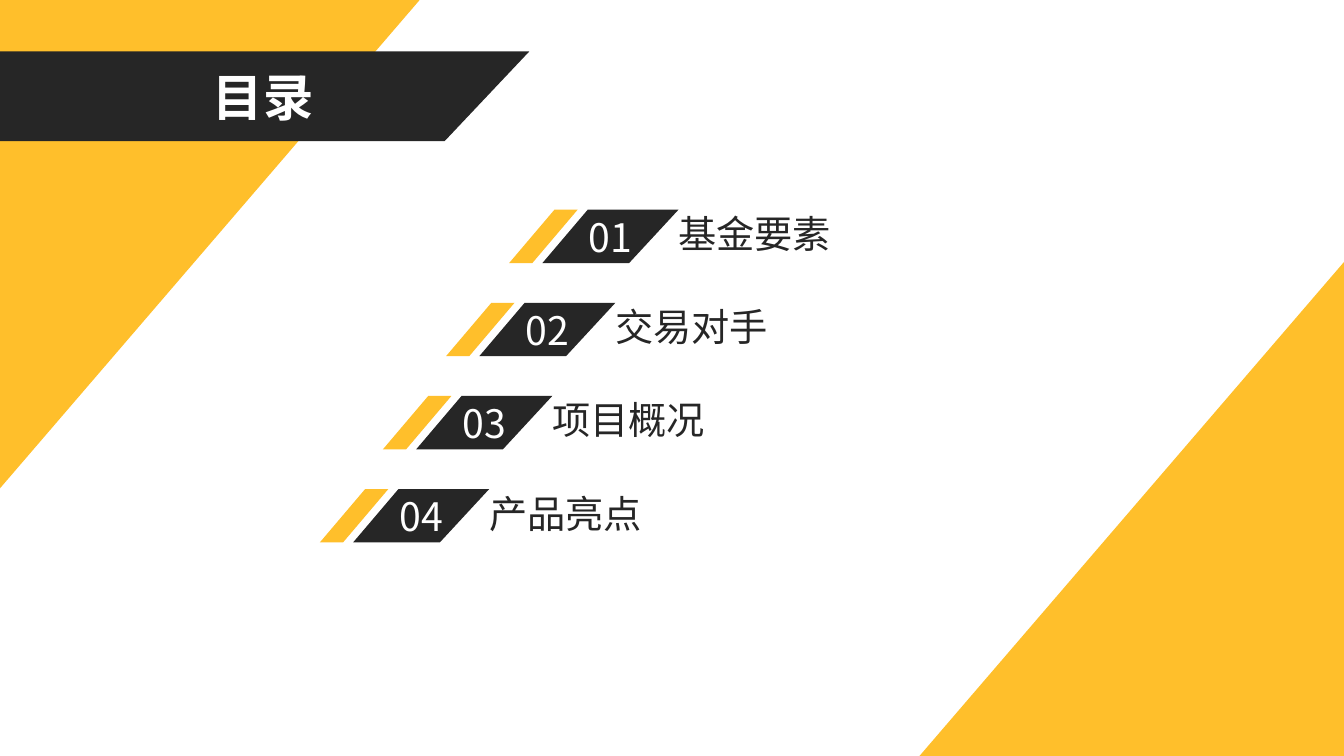
from dataclasses import dataclass

from lxml import etree
from pptx import Presentation
from pptx.dml.color import RGBColor
from pptx.enum.shapes import MSO_SHAPE
from pptx.enum.text import MSO_ANCHOR, PP_ALIGN
from pptx.oxml.ns import qn
from pptx.util import Inches, Pt

RIGHT_TRIANGLE = MSO_SHAPE.RIGHT_TRIANGLE
MIDDLE = MSO_ANCHOR.MIDDLE
TOP = MSO_ANCHOR.TOP
CENTER = PP_ALIGN.CENTER
LEFT = PP_ALIGN.LEFT


@dataclass(frozen=True)
class Theme:
    yellow: RGBColor = RGBColor(0xFF, 0xBF, 0x2B)
    dark: RGBColor = RGBColor(0x26, 0x26, 0x26)
    white: RGBColor = RGBColor(0xFF, 0xFF, 0xFF)
    font: str = "Noto Sans CJK SC"
    title_size: float = 36
    number_size: float = 28
    topic_size: float = 27.3


THEME = Theme()
SLIDE_WIDTH, SLIDE_HEIGHT = 13.33, 7.5
CORNER_WIDTH, CORNER_HEIGHT = 4.21, 4.9
BLEED_LEFT, BLEED_TOP = -0.03, -0.02

# Agenda grid: each row steps down and to the left
AGENDA_LEFT, AGENDA_TOP = 5.05, 2.08
ROW_STEP_X, ROW_STEP_Y = -0.626, 0.924
BAR_HEIGHT = 0.53
TOPICS = ["基金要素", "交易对手", "项目概况", "产品亮点"]


def paint(shape, color):
    shape.shadow.inherit = False
    shape.fill.solid()
    shape.fill.fore_color.rgb = color
    shape.line.fill.background()


def write(shape, text, size, color, alignment=CENTER, anchor=MIDDLE, bold=False):
    text_frame = shape.text_frame
    text_frame.text = text
    text_frame.word_wrap = True
    text_frame.vertical_anchor = anchor
    paragraph = text_frame.paragraphs[0]
    paragraph.alignment = alignment
    font = paragraph.runs[0].font
    font.name = THEME.font
    font.size = Pt(size)
    font.bold = bold
    font.color.rgb = color
    # East Asian glyphs take their own typeface entry
    properties = paragraph.runs[0].font._element
    etree.SubElement(properties, qn("a:ea"), typeface=THEME.font)
    return paragraph


def add_corner(slide, left, top, flip):
    corner = slide.shapes.add_shape(
        RIGHT_TRIANGLE, Inches(left), Inches(top),
        Inches(CORNER_WIDTH), Inches(CORNER_HEIGHT))
    corner.element.spPr.find(qn("a:xfrm")).set(flip, "1")
    paint(corner, THEME.yellow)


def add_slanted_bar(slide, top, height, top_edge, bottom_edge, color):
    """Draw a bar whose top and bottom edges are (left, right) pairs."""
    bottom = top + height
    corners = [(top_edge[0], top), (top_edge[1], top),
               (bottom_edge[1], bottom), (bottom_edge[0], bottom)]
    points = [(Inches(x), Inches(y)) for x, y in corners]
    builder = slide.shapes.build_freeform(*points[0])
    builder.add_line_segments(points[1:], close=True)
    bar = builder.convert_to_shape()
    paint(bar, color)
    return bar


def add_agenda_row(slide, index, topic):
    left = AGENDA_LEFT + index * ROW_STEP_X
    top = AGENDA_TOP + index * ROW_STEP_Y

    # Topic name
    label = slide.shapes.add_textbox(
        Inches(left + 1.58), Inches(top + 0.01),
        Inches(SLIDE_WIDTH * 0.4), Inches(0.57))
    paragraph = write(label, topic, THEME.topic_size, THEME.dark, LEFT, TOP)
    paragraph.line_spacing = 0.9

    # Accent stripe and number
    add_slanted_bar(slide, top, BAR_HEIGHT, (left + 0.45, left + 0.68),
                    (left, left + 0.23), THEME.yellow)
    number = add_slanted_bar(slide, top, BAR_HEIGHT, (left + 0.78, left + 1.68),
                             (left + 0.33, left + 1.19), THEME.dark)
    write(number, f"{index + 1:02}", THEME.number_size, THEME.white)


def main():
    presentation = Presentation()
    presentation.slide_width = Inches(SLIDE_WIDTH)
    presentation.slide_height = Inches(SLIDE_HEIGHT)
    slide = presentation.slides.add_slide(presentation.slide_layouts[6])

    # Corner triangles
    add_corner(slide, SLIDE_WIDTH - CORNER_WIDTH, SLIDE_HEIGHT - CORNER_HEIGHT, "flipH")
    add_corner(slide, BLEED_LEFT, BLEED_TOP, "flipV")

    # Title banner
    banner = add_slanted_bar(slide, 0.51, 0.89, (BLEED_LEFT, 5.25),
                             (BLEED_LEFT, 4.41), THEME.dark)
    write(banner, "目录", THEME.title_size, THEME.white, bold=True)

    # Agenda
    for index, topic in enumerate(TOPICS):
        add_agenda_row(slide, index, topic)

    presentation.save("out.pptx")


if __name__ == "__main__":
    main()
